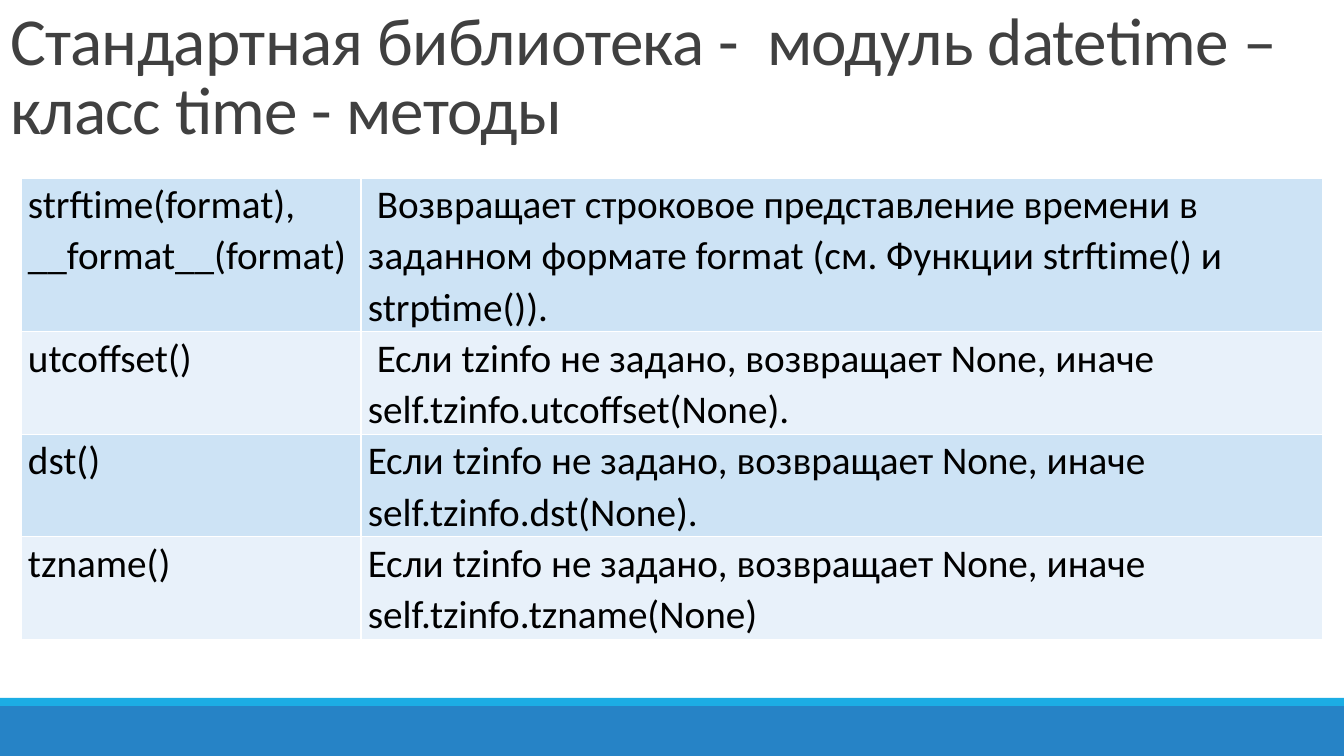
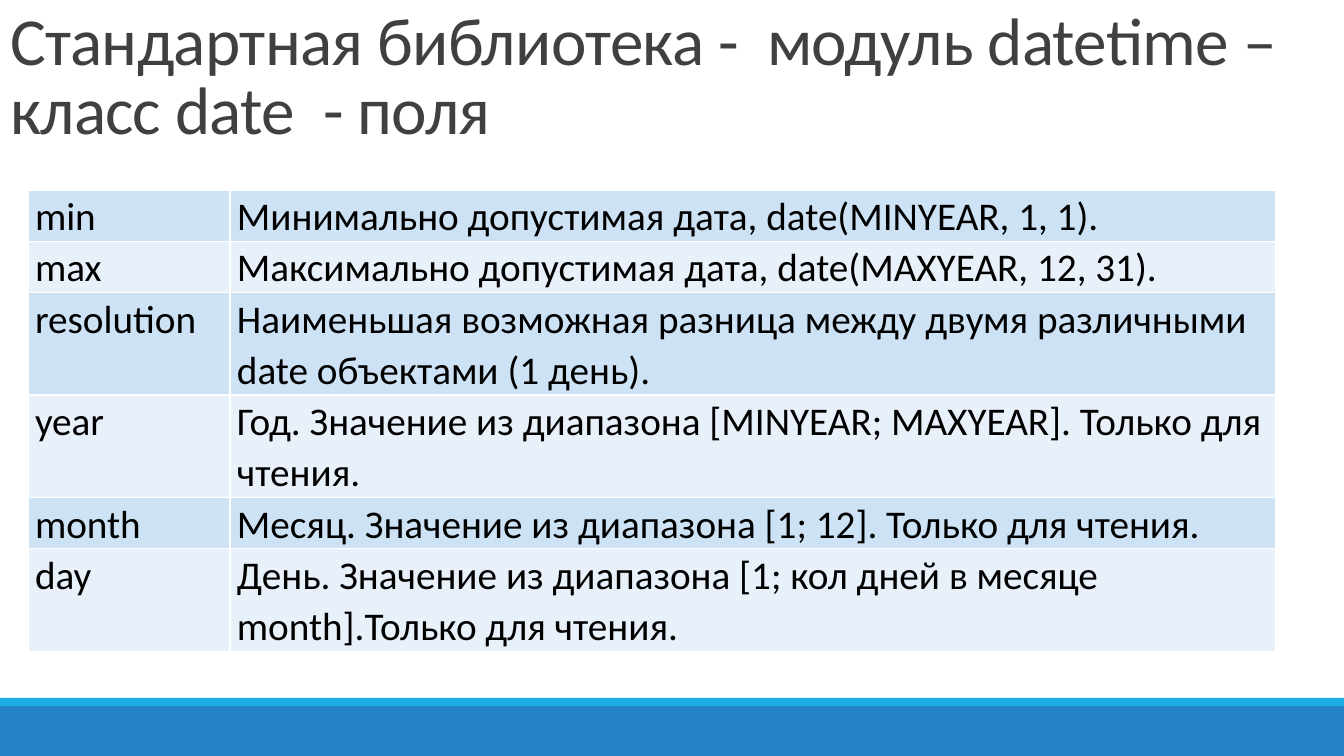
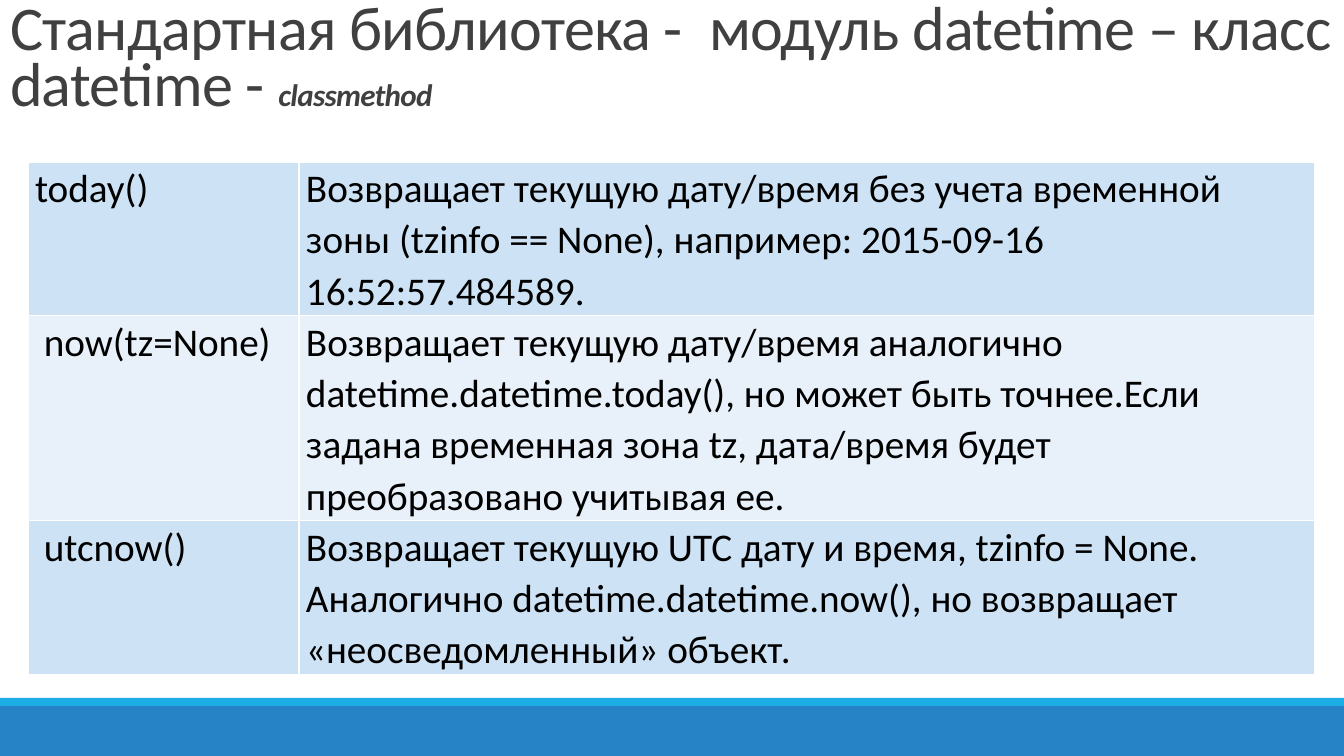
from lxml.etree import SubElement
from pptx import Presentation
from pptx.dml.color import RGBColor
from pptx.enum.shapes import MSO_SHAPE
from pptx.enum.text import MSO_ANCHOR, MSO_AUTO_SIZE, PP_ALIGN
from pptx.oxml.ns import qn
from pptx.util import Emu, Pt

FONT = "Calibri"
BLACK = RGBColor(0x00, 0x00, 0x00)
WHITE = RGBColor(0xFF, 0xFF, 0xFF)
TITLE_GREY = RGBColor(0x40, 0x40, 0x40)
BAND_BLUE = RGBColor(0x26, 0x83, 0xC6)
BAND_CYAN = RGBColor(0x1C, 0xAD, 0xE4)
ROW_FILLS = (RGBColor(0xCD, 0xE3, 0xF5), RGBColor(0xE8, 0xF1, 0xFA))

PAGE_WIDTH, PAGE_HEIGHT = 1344, 756
BANDS = [(706, 50, BAND_BLUE), (698, 8, BAND_CYAN)]  # top, height, fill
LINE_HEIGHT = 51  # one line of table text
CELL_INSET = 7
CELL_SIZE = 28
TITLE_START = "Стандартная библиотека -  модуль datetime – класс "

# Title spans: (text, size, emphasised). Table rows: (name, description, lines).
SLIDES = [
    {
        "title": [(TITLE_START + "time - методы", 48, False)],
        "title_height": 153,
        "title_spacing": 0.85,
        "table_at": (21, 178),
        "columns": (340, 962),
        "rows": [
            ("strftime(format), __format__(format)",
             " Возвращает строковое представление времени в заданном формате "
             "format (см. Функции strftime() и strptime()).", 3),
            ("utcoffset()",
             " Если tzinfo не задано, возвращает None, иначе "
             "self.tzinfo.utcoffset(None).", 2),
            ("dst()",
             "Если tzinfo не задано, возвращает None, иначе "
             "self.tzinfo.dst(None).", 2),
            ("tzname()",
             "Если tzinfo не задано, возвращает None, иначе "
             "self.tzinfo.tzname(None)", 2),
        ],
    },
    {
        "title": [(TITLE_START + "date  - поля", 48, False)],
        "title_height": 153,
        "title_spacing": 0.85,
        "table_at": (28, 190),
        "columns": (202, 1046),
        "rows": [
            ("min", "Минимально допустимая дата, date(MINYEAR, 1, 1).", 1),
            ("max", "Максимально допустимая дата, date(MAXYEAR, 12, 31).", 1),
            ("resolution",
             "Наименьшая возможная разница между двумя различными date "
             "объектами (1 день).", 2),
            ("year",
             "Год. Значение из диапазона [MINYEAR; MAXYEAR]. Только для "
             "чтения.", 2),
            ("month",
             "Месяц. Значение из диапазона [1; 12]. Только для чтения.", 1),
            ("day",
             "День. Значение из диапазона [1; кол дней в месяце "
             "month].Только для чтения.", 2),
        ],
    },
    {
        "title": [(TITLE_START + "datetime - ", 44.4, False),
                  ("classmethod", 22.2, True)],
        "title_height": 123,
        "title_spacing": 0.75,
        "table_at": (28, 162),
        "columns": (271, 1016),
        "rows": [
            ("today()",
             "Возвращает текущую дату/время без учета временной зоны "
             "(tzinfo == None), например: 2015-09-16 16:52:57.484589.", 3),
            (" now(tz=None)",
             "Возвращает текущую дату/время аналогично "
             "datetime.datetime.today(), но может быть точнее.Если задана "
             "временная зона tz, дата/время будет преобразовано учитывая "
             "ее.", 4),
            (" utcnow()",
             "Возвращает текущую UTC дату и время, tzinfo = None. Аналогично "
             "datetime.datetime.now(), но возвращает «неосведомленный» "
             "объект.", 3),
        ],
    },
]


def px(length):
    return Emu(round(length * 914400 / 100.8))


def add_span(para, text, size, color):
    span = para.add_run()
    span.text = text
    span.font.name = FONT
    span.font.size = Pt(size)
    span.font.color.rgb = color
    return span


def add_bands(page):
    for top, height, fill in BANDS:
        band = page.shapes.add_shape(
            MSO_SHAPE.RECTANGLE, 0, px(top), px(PAGE_WIDTH), px(height))
        band.shadow.inherit = False
        band.fill.solid()
        band.fill.fore_color.rgb = fill
        band.line.fill.background()


def fill_title(title, spans, height, spacing):
    title.left, title.top = 0, 0
    title.width, title.height = px(PAGE_WIDTH), px(height)
    frame = title.text_frame
    frame.word_wrap = True
    frame.auto_size = MSO_AUTO_SIZE.NONE
    frame.vertical_anchor = MSO_ANCHOR.BOTTOM
    para = frame.paragraphs[0]
    para.alignment = PP_ALIGN.LEFT
    para.line_spacing = spacing
    for text, size, emphasised in spans:
        span = add_span(para, text, size, TITLE_GREY)
        span.font.bold = span.font.italic = emphasised
        span.font._element.set("spc", "-50")


def add_borders(cell):
    properties = cell._tc.get_or_add_tcPr()
    for side in ("a:lnL", "a:lnR", "a:lnT", "a:lnB"):
        line = SubElement(properties, qn(side), w=str(Pt(1)))
        solid = SubElement(line, qn("a:solidFill"))
        SubElement(solid, qn("a:srgbClr"), val=str(WHITE))


def fill_cell(cell, text, fill):
    add_borders(cell)
    cell.fill.solid()
    cell.fill.fore_color.rgb = fill
    cell.margin_left = cell.margin_right = px(CELL_INSET)
    cell.margin_top = cell.margin_bottom = 0
    para = cell.text_frame.paragraphs[0]
    para.line_spacing = 1.07
    add_span(para, text, CELL_SIZE, BLACK)


def add_method_table(page, at, columns, rows):
    left, top = at
    height = LINE_HEIGHT * sum(lines for _, _, lines in rows)
    table = page.shapes.add_table(
        len(rows), len(columns),
        px(left), px(top), px(sum(columns)), px(height)).table
    table.first_row = table.horz_banding = False
    for column, width in zip(table.columns, columns):
        column.width = px(width)
    for index, (name, description, lines) in enumerate(rows):
        table.rows[index].height = px(LINE_HEIGHT * lines)
        for position, text in enumerate((name, description)):
            fill_cell(table.cell(index, position), text,
                      ROW_FILLS[index % len(ROW_FILLS)])


def main():
    deck = Presentation()
    deck.slide_width, deck.slide_height = px(PAGE_WIDTH), px(PAGE_HEIGHT)
    title_only = deck.slide_layouts[5]
    for content in SLIDES:
        page = deck.slides.add_slide(title_only)
        add_bands(page)
        fill_title(page.shapes.title, content["title"],
                   content["title_height"], content["title_spacing"])
        add_method_table(page, content["table_at"], content["columns"],
                         content["rows"])
    deck.save("out.pptx")


if __name__ == "__main__":
    main()
